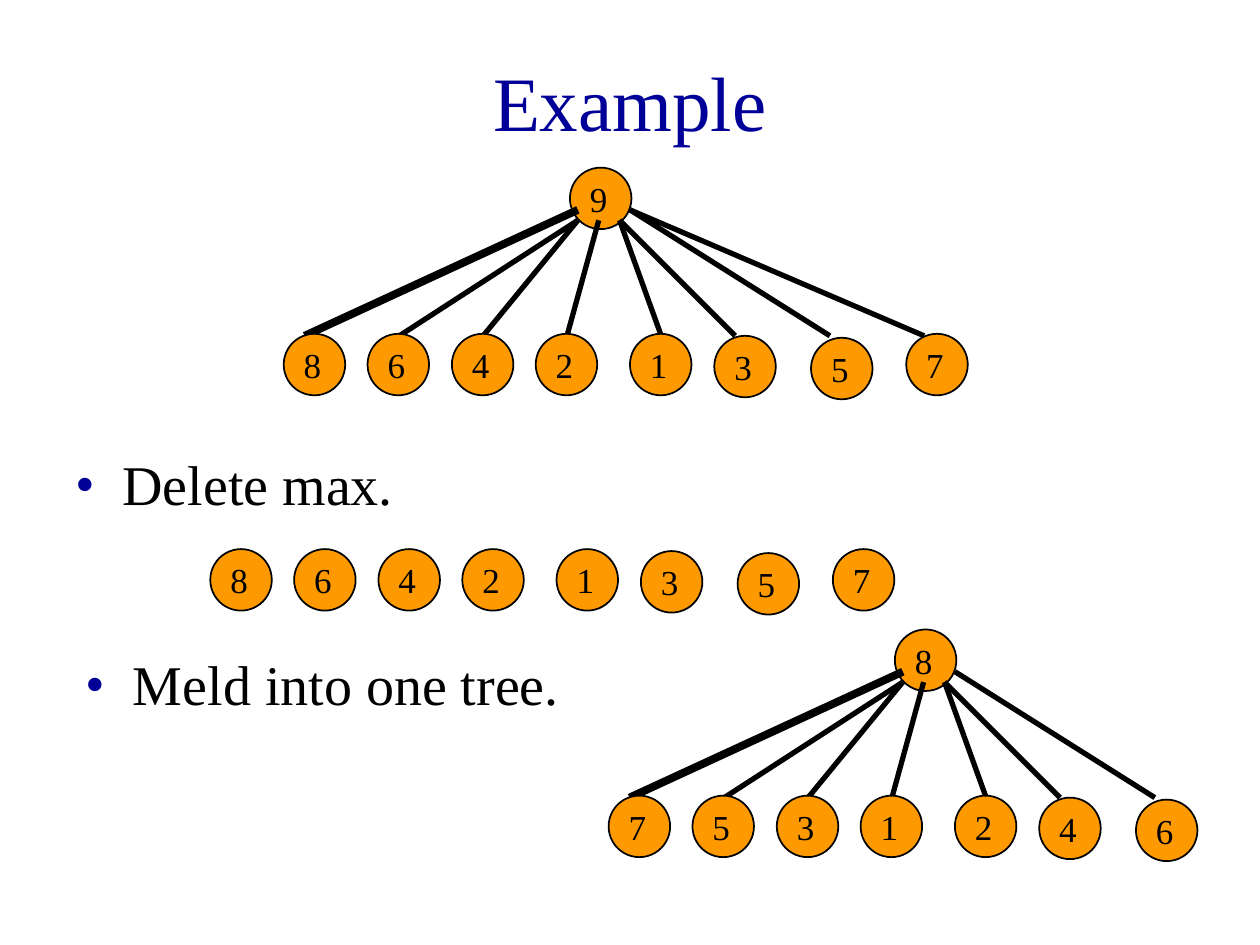
"""Build a slide showing delete-max on a tree and the meld that follows."""
from lxml.etree import SubElement
from pptx import Presentation
from pptx.dml.color import RGBColor
from pptx.enum.shapes import MSO_CONNECTOR, MSO_SHAPE
from pptx.enum.text import MSO_ANCHOR, PP_ALIGN
from pptx.oxml.ns import qn
from pptx.util import Cm, Pt

NAVY = RGBColor(0x00, 0x00, 0x99)
ORANGE = RGBColor(0xFF, 0x99, 0x00)
BLACK = RGBColor(0x00, 0x00, 0x00)
SIZE = 1.24


def style(par, size, color):
    for run in par.runs:
        run.font.name = "Times New Roman"
        run.font.size = Pt(size)
        run.font.color.rgb = color


def add_node(label, left, top):
    node = slide.shapes.add_shape(
        MSO_SHAPE.OVAL, Cm(left), Cm(top), Cm(SIZE), Cm(SIZE))
    node.shadow.inherit = False
    node.fill.solid()
    node.fill.fore_color.rgb = ORANGE
    node.line.color.rgb = BLACK
    node.line.width = Pt(1)
    frame = node.text_frame
    frame.margin_left = frame.margin_top = frame.margin_bottom = 0
    frame.margin_right = Cm(0.08)
    frame.vertical_anchor = MSO_ANCHOR.MIDDLE
    frame.word_wrap = False
    frame.text = label
    frame.paragraphs[0].alignment = PP_ALIGN.CENTER
    style(frame.paragraphs[0], 20, BLACK)


deck = Presentation()
deck.slide_width, deck.slide_height = Cm(25.4), Cm(19.05)
slide = deck.slides.add_slide(deck.slide_layouts[5])

title = slide.shapes.title
title.left, title.top, title.width, title.height = Cm(1.9), Cm(0.43), Cm(21.6), Cm(3.18)
title.text_frame.text = "Example"
title.text_frame.vertical_anchor = MSO_ANCHOR.MIDDLE
title.text_frame.paragraphs[0].alignment = PP_ALIGN.CENTER
style(title.text_frame.paragraphs[0], 44, NAVY)

for text, left, top in [("Delete max.", 1.27, 9.1), ("Meld into one tree.", 1.48, 13.13)]:
    box = slide.shapes.add_textbox(Cm(left), Cm(top), Cm(21.6), Cm(1.48))
    box.text_frame.word_wrap = True
    box.text_frame.text = text
    par = box.text_frame.paragraphs[0]
    par.line_spacing = 0.9
    par.space_before = Pt(8)
    style(par, 32, BLACK)
    props = par._p.get_or_add_pPr()
    props.set("marL", str(Cm(0.95)))
    props.set("indent", str(Cm(-0.95)))
    tint = SubElement(props, qn("a:buClr"))
    SubElement(tint, qn("a:srgbClr"), val=str(NAVY))
    SubElement(props, qn("a:buFont"), typeface="Times New Roman")
    SubElement(props, qn("a:buChar"), char="•")

leaves = [(0, 0), (1.69, 0), (3.39, 0), (5.08, 0),
          (6.98, 0), (8.68, 0.04), (10.63, 0.08), (12.55, 0)]
edges = [(5.93, -2.5, 0.42), (5.93, -2.29, 2.33), (5.93, -2.29, 4.02),
         (6.35, -2.29, 5.71), (6.77, -2.29, 7.61), (6.77, -2.29, 9.1),
         (6.98, -2.5, 11.01), (6.98, -2.5, 12.91)]
rows = [("9", "86421357", 5.72, 6.73),
        (None, "86421357", 4.24, 11.07),
        ("8", "7531246", 12.27, 16.04)]

for root, labels, left, top in rows:
    if root:
        add_node(root, left + 5.77, top - 3.35)
        for pos, (start, rise, end) in enumerate(edges[:len(labels)]):
            edge = slide.shapes.add_connector(
                MSO_CONNECTOR.STRAIGHT, Cm(left + start), Cm(top + rise),
                Cm(left + end), Cm(top + 0.04))
            edge.line.color.rgb = BLACK
            edge.line.width = Pt(3 if pos else 4.5)
            SubElement(edge._element.spPr, qn("a:effectLst"))
    for label, (shift, drop) in zip(labels, leaves):
        add_node(label, left + shift, top + drop)

deck.save("out.pptx")
